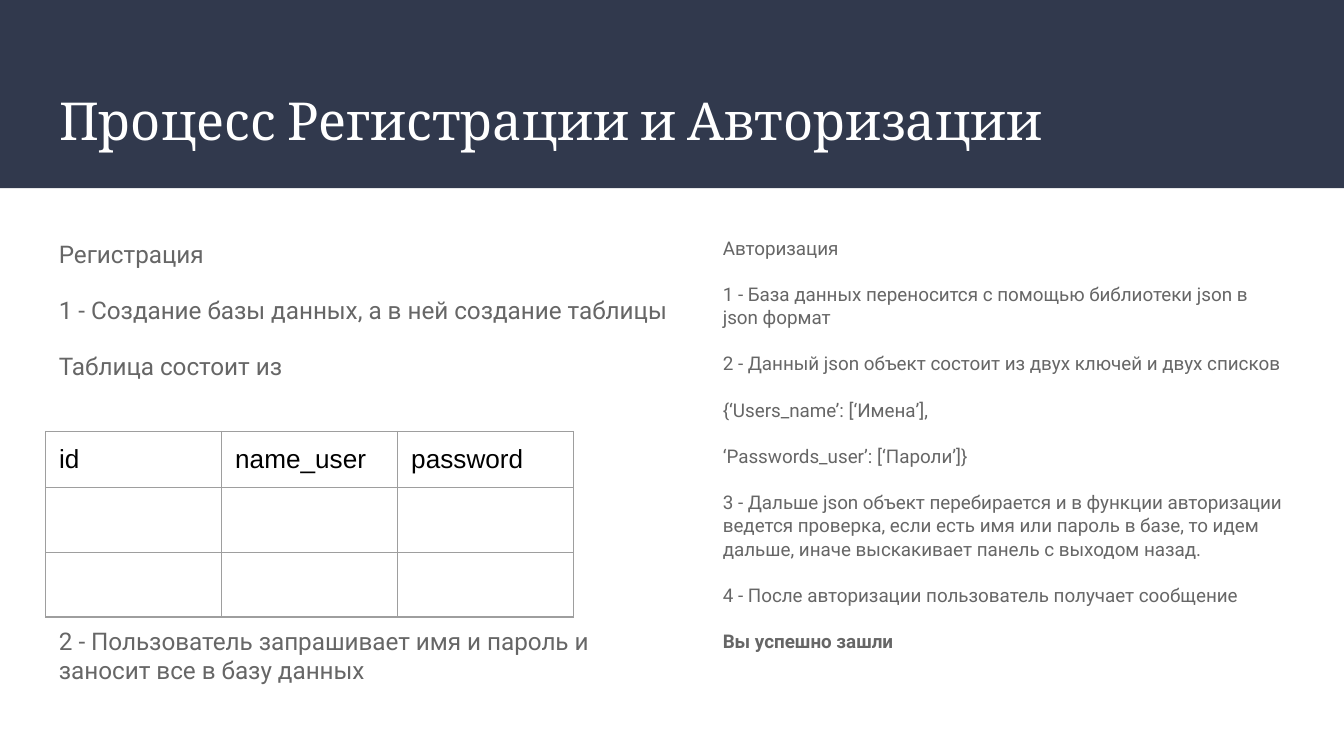
from lxml import etree
from pptx import Presentation
from pptx.dml.color import RGBColor
from pptx.enum import shapes, text
from pptx.oxml import ns
from pptx.util import Inches, Pt

COLORS = {"band": "31394D", "title": "FFFFFF", "body": "666666",
          "cell": "000000", "border": "9E9E9E"}
TITLE = "Процесс Регистрации и Авторизации"
REGISTRATION = [
    "Регистрация",
    "1 - Создание базы данных, а в ней создание таблицы",
    "Таблица состоит из",
]
REGISTRATION_END = ["2 - Пользователь запрашивает имя и пароль и заносит все в базу данных"]
AUTHORIZATION = [
    "Авторизация",
    "1 - База данных переносится с помощью библиотеки json в json формат",
    "2 - Данный json объект состоит из двух ключей и двух списков",
    "{‘Users_name’: [‘Имена’],",
    "‘Passwords_user’: [‘Пароли’]}",
    "3 - Дальше json объект перебирается и в функции авторизации ведется проверка, "
    "если есть имя или пароль в базе, то идем дальше, иначе выскакивает панель с выходом назад.",
    "4 - После авторизации пользователь получает сообщение",
    "Вы успешно зашли",
]
COLUMNS = ["id", "name_user", "password"]
ROW_COUNT = 3
ROW_HEIGHT = 0.42
COLUMN_WIDTH = 1.31
LEFT = 0.34
# lines, box, size, line spacing
TEXTS = [
    (REGISTRATION, (LEFT, 1.65, 4.76, 1.95), 13, 1.15),
    (AUTHORIZATION, (5.28, 1.65, 4.37, 3.36), 10.1, 1.05),
    (REGISTRATION_END, (LEFT, 4.56, 4.25, 0.82), 13, 1.0),
]


def rgb(name):
    return RGBColor.from_string(COLORS[name])


def set_insets(target):
    for side in ("left", "top", "right", "bottom"):
        setattr(target, f"margin_{side}", Inches(0.1))


def style_font(font, name, size, color):
    for key, value in {"name": name, "size": Pt(size)}.items():
        setattr(font, key, value)
    font.color.rgb = rgb(color)


def fill_frame(tf, lines, font, spacing=1.0):
    """Write one paragraph per line; font is (name, size, color)."""
    tf.word_wrap = True
    tf.auto_size = text.MSO_AUTO_SIZE.NONE
    set_insets(tf)
    for i, line in enumerate(lines):
        p = tf.paragraphs[0] if i == 0 else tf.add_paragraph()
        p.alignment = text.PP_ALIGN.LEFT
        p.line_spacing = spacing
        p.space_before = Pt(12 if i else 0)
        r = p.add_run()
        r.text = line
        style_font(r.font, *font)


def add_borders(cell):
    tc_pr = cell._tc.get_or_add_tcPr()
    for i, tag in enumerate(("a:lnL", "a:lnR", "a:lnT", "a:lnB")):
        ln = etree.Element(ns.qn(tag), w=str(Pt(0.75)))
        fill = etree.SubElement(ln, ns.qn("a:solidFill"))
        etree.SubElement(fill, ns.qn("a:srgbClr"), val=COLORS["border"])
        tc_pr.insert(i, ln)


def set_empty_font(cell):
    """Give an empty cell the font that decides its row's height."""
    p = cell.text_frame.paragraphs[0]._p
    end = etree.SubElement(p, ns.qn("a:endParaRPr"), sz="1800")
    etree.SubElement(end, ns.qn("a:latin"), typeface="Arial")


prs = Presentation()
prs.slide_width = Inches(10)
prs.slide_height = prs.slide_width * 9 // 16
s = prs.slides.add_slide(prs.slide_layouts[5])

band = s.shapes.add_shape(shapes.MSO_SHAPE.RECTANGLE, 0, 0, prs.slide_width, Inches(1.4))
band.shadow.inherit = False
band.fill.solid()
band.fill.fore_color.rgb = rgb("band")
band.line.fill.background()
s.shapes._spTree.insert(2, band._element)

title = s.shapes.title
title.left, title.top, title.width, title.height = map(Inches, (LEFT, 0.55, 9.32, 0.68))
fill_frame(title.text_frame, [TITLE], ("Cambria", 28, "title"))
title.text_frame.vertical_anchor = text.MSO_ANCHOR.MIDDLE

for lines, box, size, spacing in TEXTS:
    tb = s.shapes.add_textbox(*map(Inches, box))
    fill_frame(tb.text_frame, lines, ("Roboto", size, "body"), spacing)
    if lines is AUTHORIZATION:
        tb.text_frame.paragraphs[-1].runs[0].font.bold = True

table = s.shapes.add_table(
    ROW_COUNT, len(COLUMNS), Inches(LEFT), Inches(3.21),
    Inches(COLUMN_WIDTH * len(COLUMNS)), Inches(ROW_HEIGHT * ROW_COUNT)).table
table.first_row = table.horz_banding = False
for column in table.columns:
    column.width = Inches(COLUMN_WIDTH)
for row in table.rows:
    row.height = Inches(ROW_HEIGHT)
for i, cell in enumerate(table.iter_cells()):
    cell.fill.background()
    set_insets(cell)
    add_borders(cell)
    if i < len(COLUMNS):
        r = cell.text_frame.paragraphs[0].add_run()
        r.text = COLUMNS[i]
        style_font(r.font, "Arial", 14, "cell")
    else:
        set_empty_font(cell)

prs.save("out.pptx")
